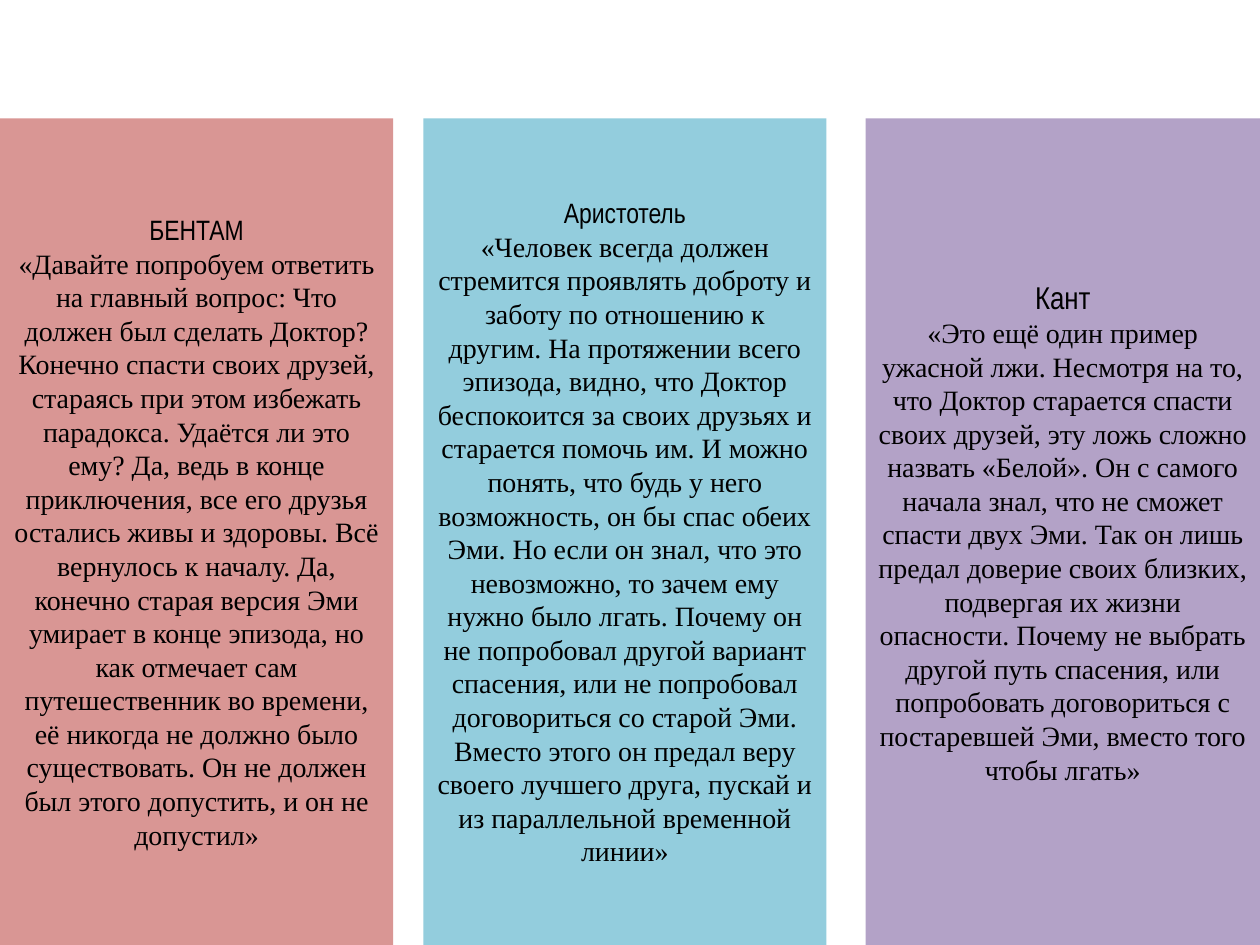
from pptx import Presentation
from pptx.dml.color import RGBColor
from pptx.enum.shapes import MSO_SHAPE
from pptx.enum.text import MSO_ANCHOR, PP_ALIGN
from pptx.util import Inches, Pt


def color(value):
    return RGBColor.from_string(value)


def write(paragraph, text, size=16, font="Times New Roman", fill="000000"):
    paragraph.alignment = PP_ALIGN.CENTER
    run = paragraph.add_run()
    run.text = text
    run.font.size = Pt(size)
    run.font.name = font
    run.font.color.rgb = color(fill)


presentation = Presentation()
presentation.slide_width = Inches(10)
presentation.slide_height = Inches(7.5)
slide = presentation.slides.add_slide(presentation.slide_layouts[6])

# Philosopher columns: left, width, fill, name, name size, opinion
columns = [
    (0, 3.12, "D99694", "БЕНТАМ", 16,
     "«Давайте попробуем ответить на главный вопрос: Что должен был сделать Доктор? "
     "Конечно спасти своих друзей, стараясь при этом избежать парадокса. "
     "Удаётся ли это ему? Да, ведь в конце приключения, все его друзья остались "
     "живы и здоровы. Всё вернулось к началу. Да, конечно старая версия Эми умирает "
     "в конце эпизода, но как отмечает сам путешественник во времени, её никогда "
     "не должно было существовать. Он не должен был этого допустить, "
     "и он не допустил»"),
    (3.36, 3.2, "93CDDD", "Аристотель", 16,
     "«Человек всегда должен стремится проявлять доброту и заботу по отношению "
     "к другим. На протяжении всего эпизода, видно, что Доктор беспокоится за своих "
     "друзьях и старается помочь им. И можно понять, что будь у него возможность, "
     "он бы спас обеих Эми. Но если он знал, что это невозможно, то зачем ему нужно "
     "было лгать. Почему он не попробовал другой вариант спасения, или не попробовал "
     "договориться со старой Эми. Вместо этого он предал веру своего лучшего друга, "
     "пускай и из параллельной временной линии»"),
    (6.87, 3.13, "B3A2C7", "Кант", 18,
     "«Это ещё один пример ужасной лжи. Несмотря на то, что Доктор старается спасти "
     "своих друзей, эту ложь сложно назвать «Белой». Он с самого начала знал, "
     "что не сможет спасти двух Эми. Так он лишь предал доверие своих близких, "
     "подвергая их жизни опасности. Почему не выбрать другой путь спасения, "
     "или попробовать договориться с постаревшей Эми, вместо того чтобы лгать»"),
]
for left, width, fill, name, name_size, opinion in columns:
    panel = slide.shapes.add_shape(
        MSO_SHAPE.RECTANGLE, Inches(left), Inches(0.94), Inches(width), Inches(6.56))
    panel.shadow.inherit = False
    panel.fill.solid()
    panel.fill.fore_color.rgb = color(fill)
    panel.line.fill.background()
    frame = panel.text_frame
    frame.word_wrap = True
    frame.vertical_anchor = MSO_ANCHOR.MIDDLE
    write(frame.paragraphs[0], name, size=name_size, font="Arial Narrow")
    write(frame.add_paragraph(), opinion)

presentation.save("out.pptx")
